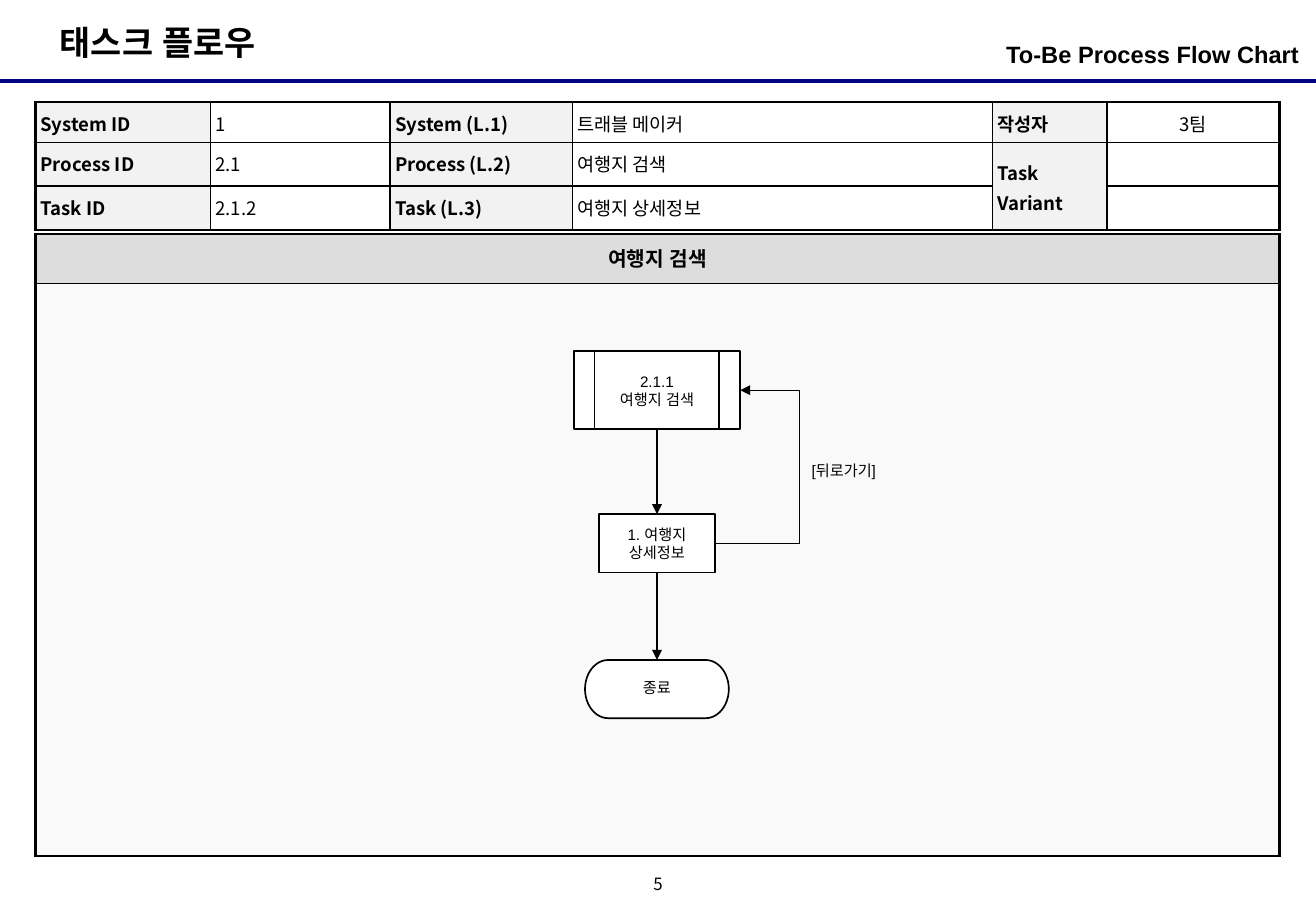
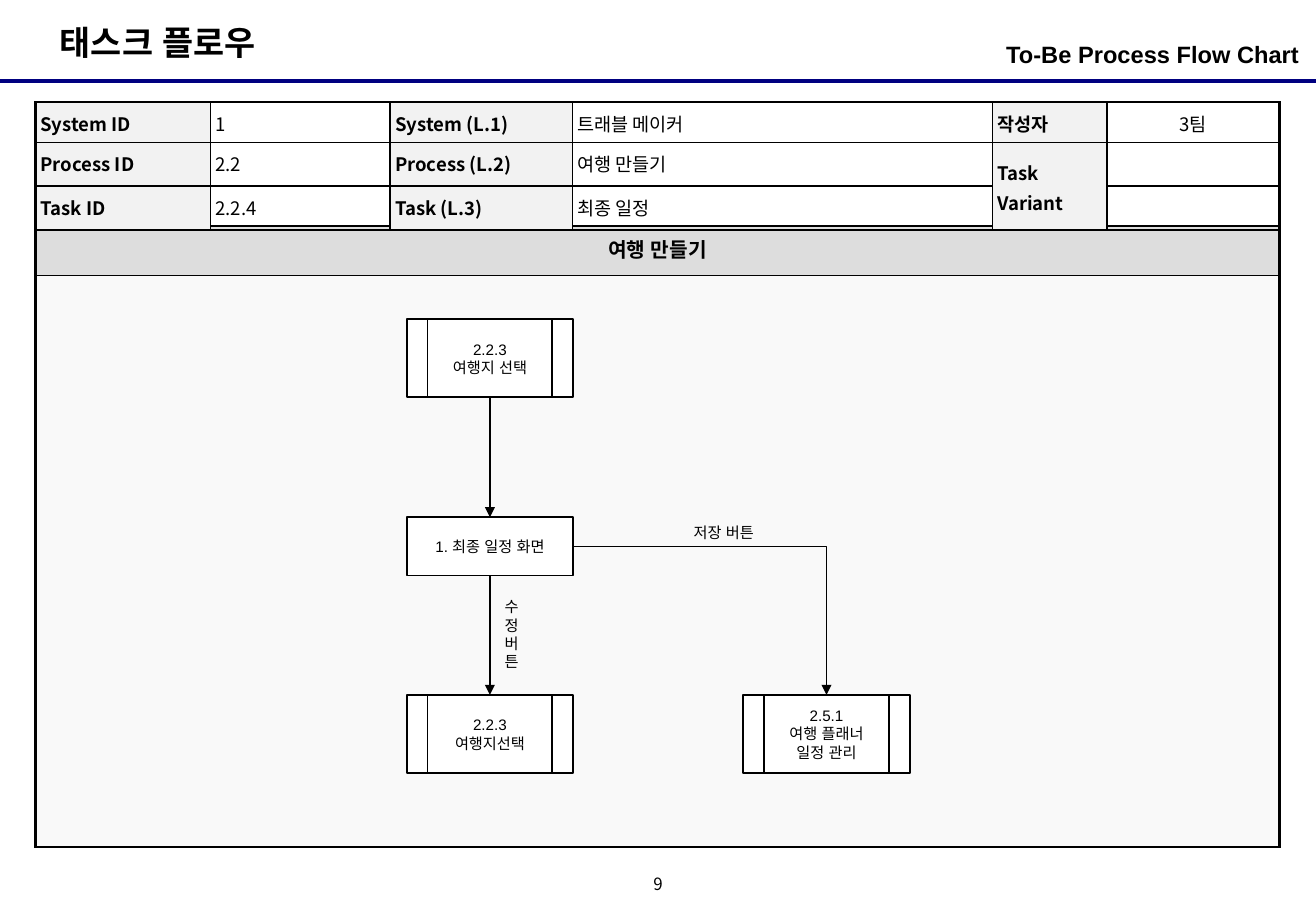
from lxml import etree
from pptx import Presentation
from pptx.dml.color import RGBColor
from pptx.enum.shapes import MSO_CONNECTOR, MSO_SHAPE
from pptx.enum.text import MSO_ANCHOR, PP_ALIGN
from pptx.oxml.ns import qn
from pptx.util import Inches, Pt

LEFT, CENTER, RIGHT = PP_ALIGN.LEFT, PP_ALIGN.CENTER, PP_ALIGN.RIGHT
TOP, MIDDLE = MSO_ANCHOR.TOP, MSO_ANCHOR.MIDDLE
STRAIGHT, ELBOW = MSO_CONNECTOR.STRAIGHT, MSO_CONNECTOR.ELBOW
PROCESS = MSO_SHAPE.FLOWCHART_PREDEFINED_PROCESS
TERMINATOR = MSO_SHAPE.FLOWCHART_TERMINATOR
SCREEN = MSO_SHAPE.RECTANGLE
SIDE_TOP, SIDE_RIGHT, SIDE_BOTTOM = 0, 3, 2

COLORS = {"ink": "000000", "paper": "FFFFFF", "rule": "000080",
          "band": "DDDDDD", "canvas": "F9F9F9", "label": "F2F2F2"}
FORMATS = {
    "title": {"name": "Arial", "size": Pt(20), "bold": True},
    "subtitle": {"name": "Arial", "size": Pt(14), "bold": True},
    "band": {"name": "Arial", "size": Pt(12), "bold": True},
    "label": {"name": "Noto Sans CJK KR", "size": Pt(11), "bold": True},
    "value": {"name": "Noto Sans CJK KR", "size": Pt(11), "bold": False},
    "number": {"name": "Noto Sans CJK KR", "size": Pt(10), "bold": False},
    "node": {"name": "Arial", "size": Pt(9), "bold": False},
}
COLUMNS, ROWS = 130, 90
TABLE_LEFT, INFO_TOP = 3.5, 10.1
INFO_COLUMNS = [17.3, 17.75, 18, 41.5, 11.3, 17.05]
INFO_ROWS = [3.95, 4.35, 4.35]
PANEL_ROWS = [4.9, 56.5]
THICK, THIN, HAIR = 1.5, 1, 0.75


def rgb(name):
    return RGBColor.from_string(COLORS[name])


class FlowDeck:
    def __init__(self):
        self.deck = Presentation()
        self.deck.slide_width = Inches(COLUMNS / 12)
        self.deck.slide_height = Inches(ROWS / 12)
        self.page = None

    def grid(self, *cells):
        unit = self.deck.slide_width / COLUMNS
        return [round(cell * unit) for cell in cells]

    def fill_frame(self, frame, text, style, align=LEFT, anchor=TOP,
                   margins=(0.1, 0.05), spacing=None):
        across, down = (Inches(margin) for margin in margins)
        settings = {"word_wrap": True, "vertical_anchor": anchor,
                    "margin_left": across, "margin_right": across,
                    "margin_top": down, "margin_bottom": down}
        for key, value in settings.items():
            setattr(frame, key, value)
        self.fill_text(frame, text, style, align, spacing)

    def fill_text(self, frame, text, style, align, spacing):
        frame.text = text
        for para in frame.paragraphs:
            para.alignment = align
            if spacing:
                para.line_spacing = spacing
            for span in para.runs:
                for key, value in FORMATS[style].items():
                    setattr(span.font, key, value)
                span.font.color.rgb = rgb("ink")
                east = etree.SubElement(span.font._element, qn("a:ea"))
                east.set("typeface", FORMATS[style]["name"])

    def add_page(self, number):
        self.page = self.deck.slides.add_slide(self.deck.slide_layouts[5])
        title = self.page.shapes.title
        place = self.grid(4.7, 1.55, 26, 5.3)
        for key, value in zip(("left", "top", "width", "height"), place):
            setattr(title, key, value)
        self.fill_frame(title.text_frame, "태스크 플로우", "title")
        self.line((0, 8), (COLUMNS, 8), "rule", 2.25)
        self.text(88.65, 3.35, 39.7, 4.7, "To-Be Process Flow Chart",
                  "subtitle", align=RIGHT, margins=(0, 0.05))
        self.text(63, 86, 4, 3, number, "number", align=CENTER,
                  anchor=MIDDLE, margins=(0, 0), spacing=0.8)

    def text(self, left, top, width, height, words, style, **layout):
        box = self.page.shapes.add_textbox(*self.grid(left, top, width, height))
        self.fill_frame(box.text_frame, words, style, **layout)

    def caption(self, left, top, width, height, words):
        self.text(left, top, width, height, words, "node",
                  align=CENTER, anchor=MIDDLE)

    def line(self, start, end, color, weight, kind=STRAIGHT):
        connector = self.page.shapes.add_connector(
            kind, *self.grid(*start, *end))
        connector.line.color.rgb = rgb(color)
        connector.line.width = Pt(weight)
        etree.SubElement(connector._element.spPr, qn("a:effectLst"))
        return connector

    def arrow(self, source, target, sides=(SIDE_BOTTOM, SIDE_TOP),
              weight=HAIR, kind=STRAIGHT):
        connector = self.line((0, 0), (1, 1), "ink", weight, kind)
        connector.begin_connect(source, sides[0])
        connector.end_connect(target, sides[1])
        stroke = connector._element.spPr.find(qn("a:ln"))
        etree.SubElement(stroke, qn("a:tailEnd")).set("type", "triangle")
        return connector

    def corner_arrow(self, source, target):
        connector = self.arrow(source, target, (SIDE_RIGHT, SIDE_TOP), kind=ELBOW)
        connector._element.spPr.find(qn("a:prstGeom")).set("prst", "bentConnector2")

    def return_arrow(self, source, target, bend):
        connector = self.arrow(source, target, (SIDE_RIGHT, SIDE_RIGHT), kind=ELBOW)
        reach = self.grid(bend)[0] - connector.begin_x
        share = reach / (connector.end_x - connector.begin_x)
        guides = connector._element.spPr.find(qn("a:prstGeom")).find(qn("a:avLst"))
        guide = etree.SubElement(guides, qn("a:gd"))
        guide.set("name", "adj1")
        guide.set("fmla", f"val {round(share * 100000)}")

    def node(self, kind, middle, top, words, width=16.44, height=5.75, spacing=None):
        box = self.page.shapes.add_shape(
            kind, *self.grid(middle - width / 2, top, width, height))
        box.shadow.inherit = False
        box.fill.solid()
        box.fill.fore_color.rgb = rgb("paper")
        box.line.color.rgb = rgb("ink")
        box.line.width = Pt(1)
        self.fill_frame(box.text_frame, words, "node", CENTER, MIDDLE,
                        (0.02, 0), spacing)
        return box

    def process(self, middle, top, words):
        return self.node(PROCESS, middle, top, words, height=7.7)

    def table(self, top, columns, rows):
        place = self.grid(TABLE_LEFT, top, sum(columns), sum(rows))
        table = self.page.shapes.add_table(len(rows), len(columns), *place).table
        table.first_row = table.horz_banding = False
        for column, width in zip(table.columns, self.grid(*columns)):
            column.width = width
        for row, height in zip(table.rows, self.grid(*rows)):
            row.height = height
        return table

    def cell(self, cell, color, weights):
        if color:
            cell.fill.solid()
            cell.fill.fore_color.rgb = rgb(color)
        else:
            cell.fill.background()
        properties = cell._tc.get_or_add_tcPr()
        for index, (side, weight) in enumerate(zip("LRTB", weights)):
            border = etree.Element(qn(f"a:ln{side}"), w=str(int(Pt(weight))))
            paint = etree.SubElement(border, qn("a:solidFill"))
            etree.SubElement(paint, qn("a:srgbClr")).set("val", COLORS["ink"])
            properties.insert(index, border)

    def panel(self, top, heading):
        table = self.table(top, [sum(INFO_COLUMNS)], PANEL_ROWS)
        head, body = table.cell(0, 0), table.cell(1, 0)
        self.cell(head, "band", (THICK, THICK, THICK, HAIR))
        self.cell(body, "canvas", (THICK, THICK, HAIR, THICK))
        head.vertical_anchor = MIDDLE
        self.fill_text(head.text_frame, heading, "band", CENTER, None)

    def info(self, process_id, process, task_id, task):
        entries = [
            ["System ID", "1", "System (L.1)", "트래블 메이커", "작성자", "3팀"],
            ["Process ID", process_id, "Process (L.2)", process, "Task Variant", ""],
            ["Task ID", task_id, "Task (L.3)", task, "", ""],
        ]
        table = self.table(INFO_TOP, INFO_COLUMNS, INFO_ROWS)
        table.cell(1, 4).merge(table.cell(2, 4))
        last_row, last_column = len(INFO_ROWS) - 1, len(INFO_COLUMNS) - 1
        for row, entry in enumerate(entries):
            for column, words in enumerate(entry):
                cell = table.cell(row, column)
                if cell.is_spanned:
                    continue
                outer = (column == 0, column == last_column, row == 0,
                         row == last_row or cell.is_merge_origin)
                style = "value" if column % 2 else "label"
                self.cell(cell, None if column % 2 else "label",
                          [THICK if edge else THIN for edge in outer])
                cell.margin_left = cell.margin_right = Inches(0.04)
                cell.margin_top = cell.margin_bottom = Inches(0.04 if words else 0)
                cell.vertical_anchor = MIDDLE if column >= 4 else TOP
                self.fill_text(cell.text_frame, words, style,
                               CENTER if column == last_column else LEFT, 1.1)


def add_detail_page(flow):
    axis = 64.9
    flow.add_page("5")
    flow.panel(23.15, "여행지 검색")
    flow.info("2.1", "여행지 검색", "2.1.2", "여행지 상세정보")
    search = flow.process(axis, 34.7, "2.1.1\n여행지 검색")
    detail = flow.node(SCREEN, axis, 50.8, "1. 여행지\n상세정보", width=11.5)
    finish = flow.node(TERMINATOR, axis, 65.2, "종료", width=14.2, spacing=0.9)
    flow.arrow(search, detail, weight=THICK)
    flow.arrow(detail, finish, weight=THICK)
    flow.return_arrow(detail, search, bend=79)
    flow.caption(78.1, 45, 10.5, 3, "[뒤로가기]")


def add_schedule_page(flow):
    axis, branch = 48.4, 81.65
    flow.add_page("9")
    flow.panel(22.3, "여행 만들기")
    flow.info("2.2", "여행 만들기", "2.2.4", "최종 일정")
    choice = flow.process(axis, 31.55, "2.2.3\n여행지 선택")
    schedule = flow.node(SCREEN, axis, 51.1, "1. 최종 일정 화면")
    edit = flow.process(axis, 68.65, "2.2.3\n여행지선택")
    planner = flow.process(branch, 68.65, "2.5.1\n여행 플래너\n일정 관리")
    flow.arrow(choice, schedule)
    flow.arrow(schedule, edit)
    flow.corner_arrow(schedule, planner)
    flow.caption(48.4, 58.4, 4.3, 8.5, "수정 버튼")
    flow.caption(65, 51.1, 13, 3, "저장 버튼")


def main():
    flow = FlowDeck()
    add_detail_page(flow)
    add_schedule_page(flow)
    flow.deck.save("out.pptx")


if __name__ == "__main__":
    main()
